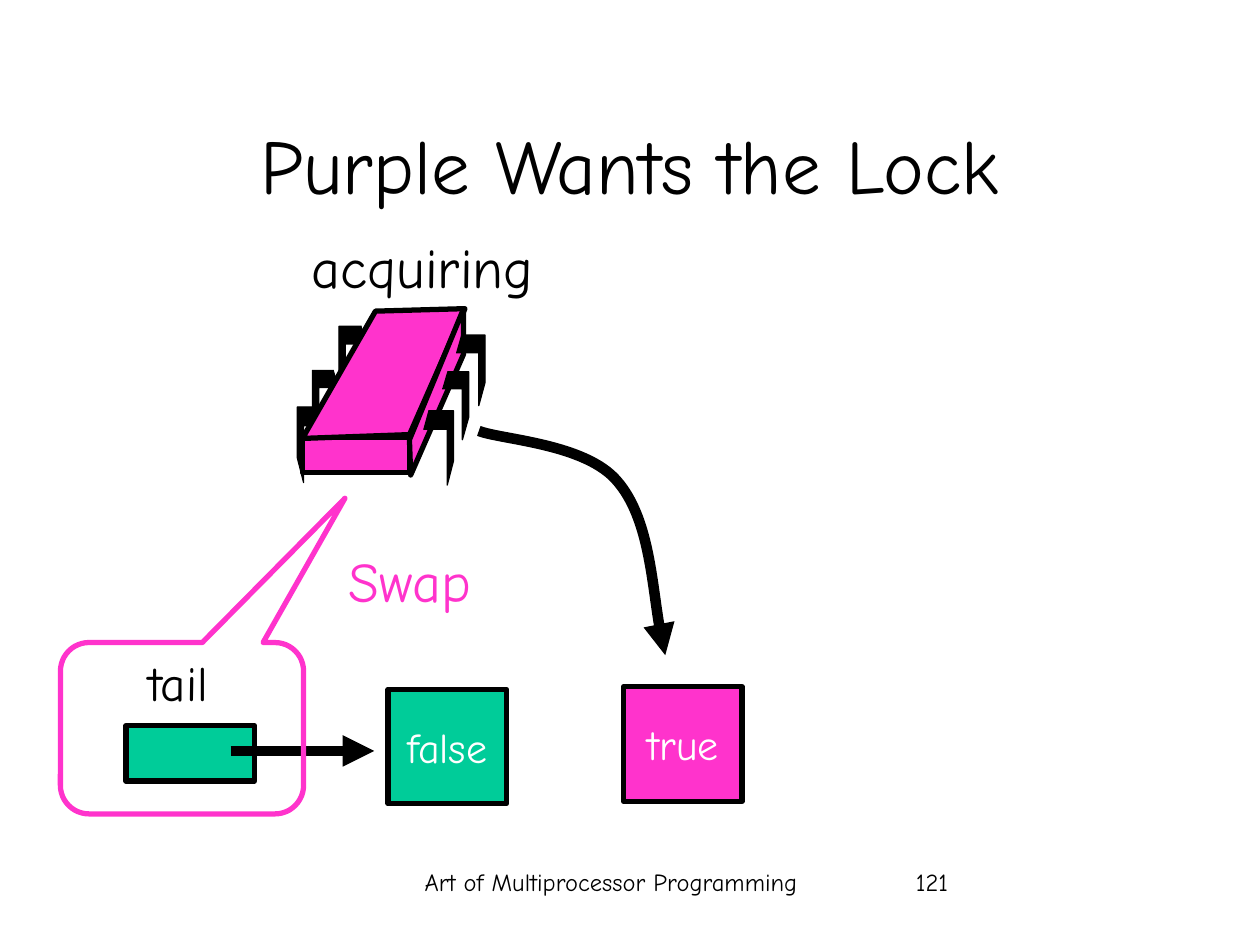
"""Build the slide on the purple thread acquiring a queue lock."""
from lxml import etree
from pptx import Presentation
from pptx import util as u
from pptx.dml.color import RGBColor
from pptx.enum import shapes, text
from pptx.oxml import ns

BLACK = RGBColor(0x00, 0x00, 0x00)
WHITE = RGBColor(0xFF, 0xFF, 0xFF)
GREEN = RGBColor(0x00, 0xCC, 0x99)
PINK = RGBColor(0xFF, 0x33, 0xCC)
FONT = "Comic Neue"
LEFT, CENTER = text.PP_ALIGN.LEFT, text.PP_ALIGN.CENTER
MIDDLE = text.MSO_ANCHOR.MIDDLE
RECTANGLE = shapes.MSO_SHAPE.RECTANGLE

FOOTERS = [
    ("Art of Multiprocessor Programming", (2.89, 6.83, 3.92, 0.5), CENTER),
    ("121", (7.17, 6.83, 2.08, 0.5), LEFT),
]
TITLE = ("Purple Wants the Lock", (0.75, 0.67, 8.5, 1.25))
ACQUIRING = ("acquiring", (2.33, 1.8, 2.05, 0.63))
TAIL_LABEL = ("tail", (1.08, 5.13, 0.8, 0.57))
SWAP_LABEL = ("Swap", (2.67, 4.29, 1.28, 0.63))
FALSE_NODE = ("false", (3.08, 5.47, 0.94, 0.91), GREEN)
TRUE_NODE = ("true", (4.95, 5.45, 0.94, 0.91), PINK)
TAIL_BOX = (1, 5.76, 1.02, 0.44)
TAIL_ARROW = (1.83, 5.96, 2.97, 5.96)
CALLOUT = (0.48, 5.1, 1.93, 1.36)
CALLOUT_ADJUSTMENTS = (0.67, -1.342, 0.167)

BODY_FRONT = (2.4, 3.47, 0.85, 0.28)
BODY_TOP = [(2.4, 3.48), (3.25, 3.45), (3.69, 2.45), (2.98, 2.47)]
BODY_SIDE = [(3.68, 2.45), (3.68, 2.81), (3.26, 3.77), (3.25, 3.49)]
LEFT_LEGS = [(2.36, 3.23, 0.6, 0.24), (2.48, 2.94, 0.54, 0.21), (2.69, 2.59, 0.56, 0.22)]
RIGHT_LEGS = [(3.6, 3.26, 0.59, 0.24), (3.72, 2.95, 0.54, 0.21), (3.85, 2.66, 0.56, 0.23)]
POINTER_CURVE = [(3.8, 3.42), (3.98, 3.49), (4.65, 3.52), (4.9, 3.82),
                 (5.15, 4.11), (5.2, 4.91), (5.28, 5.2)]


def inches(values):
    return [u.Inches(value) for value in values]


def write_text(shape, content, size=24, color=BLACK, align=CENTER, anchor=None, wrap=True):
    frame = shape.text_frame
    frame.word_wrap = wrap
    if anchor is not None:
        frame.vertical_anchor = anchor
    paragraph = frame.paragraphs[0]
    paragraph.text = content
    paragraph.alignment = align
    paragraph.font.name = FONT
    paragraph.font.size = u.Pt(size)
    paragraph.font.color.rgb = color


def add_label(parent, content, box, **text_format):
    write_text(parent.shapes.add_textbox(*inches(box)), content, **text_format)


def paint(shape, fill=None, line=BLACK, width=3):
    shape.shadow.inherit = False
    if fill is None:
        shape.fill.background()
    else:
        shape.fill.solid()
        shape.fill.fore_color.rgb = fill
    shape.line.color.rgb = line
    shape.line.width = u.Pt(width)


def add_box(parent, box, fill=None, line=BLACK, kind=RECTANGLE):
    shape = parent.shapes.add_shape(kind, *inches(box))
    paint(shape, fill, line)
    return shape


def add_node(slide, content, box, fill):
    node = add_box(slide, box, fill)
    write_text(node, content, color=WHITE, anchor=MIDDLE, wrap=False)


def add_outline(parent, points, close=False, **style):
    start, *others = [inches(point) for point in points]
    builder = parent.shapes.build_freeform(*start)
    builder.add_line_segments(others, close=close)
    shape = builder.convert_to_shape()
    paint(shape, **style)
    return shape


def add_leg(parent, outer, top, height, reach, inward):
    knee, bar = top + height * 0.67, top + height * 0.25
    shin = outer + inward * 0.05
    points = [(outer + inward * (reach - 0.04), top), (outer, top), (outer, knee),
              (shin, top + height), (shin, bar), (outer + inward * reach, bar)]
    add_outline(parent, points, fill=BLACK, width=0.75)


def add_arrowhead(shape):
    etree.SubElement(shape.line._get_or_add_ln(), ns.qn("a:tailEnd"), type="triangle")


def bend(shape):
    path = shape._element.find(".//" + ns.qn("a:path"))
    segments = path.findall(ns.qn("a:lnTo"))
    for start in range(0, len(segments), 3):
        curve = etree.SubElement(path, ns.qn("a:cubicBezTo"))
        for segment in segments[start:start + 3]:
            curve.append(segment[0])
            path.remove(segment)


def add_thread(slide):
    group = slide.shapes.add_group_shape()
    add_box(group, BODY_FRONT, PINK)
    for leg in LEFT_LEGS:
        add_leg(group, *leg, inward=1)
    for face in (BODY_TOP, BODY_SIDE):
        add_outline(group, face, close=True, fill=PINK)
    for leg in RIGHT_LEGS:
        add_leg(group, *leg, inward=-1)
    add_label(group, *ACQUIRING, size=32, wrap=False)


def main():
    presentation = Presentation()
    presentation.slide_width, presentation.slide_height = inches((10, 7.5))
    slide = presentation.slides.add_slide(presentation.slide_layouts[6])

    for content, box, align in FOOTERS:
        add_label(slide, content, box, size=14, align=align)
    add_label(slide, *TITLE, size=44, anchor=MIDDLE)
    add_node(slide, *FALSE_NODE)
    add_box(slide, TAIL_BOX, GREEN)

    arrow = slide.shapes.add_connector(shapes.MSO_CONNECTOR.STRAIGHT, *inches(TAIL_ARROW))
    arrow.line.color.rgb = BLACK
    arrow.line.width = u.Pt(6)
    add_arrowhead(arrow)
    etree.SubElement(arrow._element.spPr, ns.qn("a:effectLst"))

    add_label(slide, *TAIL_LABEL, size=28, align=LEFT, wrap=False)
    add_thread(slide)
    add_node(slide, *TRUE_NODE)

    callout = add_box(slide, CALLOUT, line=PINK,
                      kind=shapes.MSO_SHAPE.ROUNDED_RECTANGULAR_CALLOUT)
    for index, value in enumerate(CALLOUT_ADJUSTMENTS):
        callout.adjustments[index] = value
    add_label(slide, *SWAP_LABEL, size=32, color=PINK, align=LEFT, wrap=False)

    pointer = add_outline(slide, POINTER_CURVE, width=6)
    bend(pointer)
    add_arrowhead(pointer)
    presentation.save("out.pptx")


if __name__ == "__main__":
    main()
